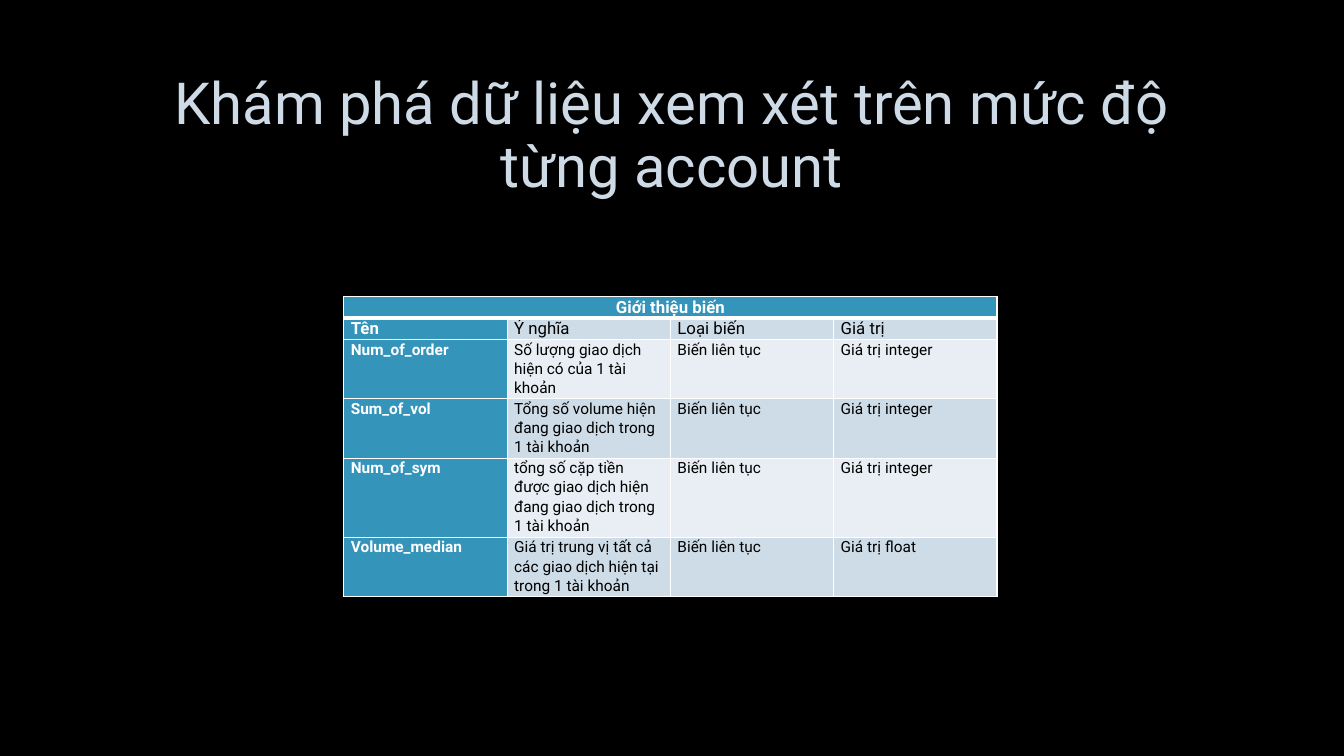
from dataclasses import dataclass

from lxml import etree
from pptx import Presentation
from pptx import util as u
from pptx.dml.color import RGBColor
from pptx.enum import text
from pptx.oxml import parse_xml
from pptx.oxml.ns import nsdecls, qn


@dataclass(frozen=True)
class Theme:
    """Colours, font and type sizes of the slide."""
    font: str = "Roboto"
    background: str = "000000"
    title: str = "CEDBE6"
    outline: str = "404040"
    accent: str = "3494BA"
    bands: tuple[str, str] = ("CEDCE7", "E8EEF3")
    light: str = "FFFFFF"
    dark: str = "000000"
    title_size: float = 41.4
    head_size: float = 12
    body_size: float = 11


@dataclass(frozen=True)
class Variable:
    """One table row and its height in inches."""
    name: str
    meaning: str
    kind: str
    value: str
    height: float
    size: float = Theme.body_size


THEME = Theme()
TITLE = "Khám phá dữ liệu xem xét trên mức độ từng account"
CAPTION = "Giới thiệu biến"
CAPTION_HEIGHT = 0.21
COLUMN_WIDTH = 1.62
KIND = "Biến liên tục"
INTEGER = "Giá trị integer"
ROWS = [
    Variable("Tên", "Ý nghĩa", "Loại biến", "Giá trị", 0.21, THEME.head_size),
    Variable("Num_of_order", "Số lượng giao dịch hiện có của 1 tài khoản", KIND, INTEGER, 0.57),
    Variable("Sum_of_vol", "Tổng số volume hiện đang giao dịch trong 1 tài khoản",
             KIND, INTEGER, 0.57),
    Variable("Num_of_sym", "tổng số cặp tiền được giao dịch hiện đang giao dịch trong 1 tài khoản",
             KIND, INTEGER, 0.76),
    Variable("Volume_median", "Giá trị trung vị tất cả các giao dịch hiện tại trong 1 tài khoản",
             KIND, "Giá trị float", 0.57),
]


def style(paragraph, size: float, color: str, bold: bool, spacing: float, centred: bool) -> None:
    """Set the type and alignment of a paragraph."""
    paragraph.alignment = text.PP_ALIGN.CENTER if centred else text.PP_ALIGN.LEFT
    paragraph.line_spacing = spacing
    font = paragraph.font
    font.name, font.size, font.bold = THEME.font, u.Pt(size), bold
    font.color.rgb = RGBColor.from_string(color)


def add_title(page) -> None:
    """Add the centred title with its faint letter outline."""
    box = page.shapes.add_textbox(u.Inches(1), u.Inches(0.67), u.Inches(11.32), u.Inches(1.38))
    frame = box.text_frame
    frame.word_wrap = True
    frame.vertical_anchor = text.MSO_ANCHOR.MIDDLE
    paragraph = frame.paragraphs[0]
    paragraph.add_run().text = TITLE
    style(paragraph, THEME.title_size, THEME.title, False, 0.9, True)
    outline = parse_xml(
        f'<a:ln {nsdecls("a")} w="{u.Pt(0.75)}"><a:solidFill><a:srgbClr val="{THEME.outline}">'
        '<a:alpha val="10000"/></a:srgbClr></a:solidFill></a:ln>')
    paragraph.font.fill.solid()
    paragraph.font.color.rgb = RGBColor.from_string(THEME.title)
    paragraph._p.find(".//" + qn("a:defRPr")).insert(0, outline)


def add_borders(cell, bottom: float, top: float) -> None:
    """Draw white lines on the four sides of a cell."""
    properties = cell._tc.get_or_add_tcPr()
    for index, (side, width) in enumerate({"lnL": 1, "lnR": 1, "lnT": top, "lnB": bottom}.items()):
        line = etree.Element(qn("a:" + side), w=str(u.Pt(width)))
        fill = etree.SubElement(line, qn("a:solidFill"))
        etree.SubElement(fill, qn("a:srgbClr"), val=THEME.light)
        properties.insert(index, line)


def fill_cell(cell, words: str, size: float, fill: str, strong: bool, centred: bool = False,
              top: float = 1, bottom: float = 1) -> None:
    """Write and format one table cell."""
    cell.margin_left = cell.margin_right = u.Inches(0.07)
    cell.margin_top = cell.margin_bottom = 0
    cell.fill.solid()
    cell.fill.fore_color.rgb = RGBColor.from_string(fill)
    paragraph = cell.text_frame.paragraphs[0]
    if words:
        paragraph.add_run().text = words
    style(paragraph, size, THEME.light if strong else THEME.dark, strong, 1.07, centred)
    add_borders(cell, bottom, top)


def add_variables(page) -> None:
    """Add the table of variables under its merged caption."""
    heights = [CAPTION_HEIGHT, *(row.height for row in ROWS)]
    table = page.shapes.add_table(
        len(heights), 4, u.Inches(3.41), u.Inches(2.94),
        u.Inches(4 * COLUMN_WIDTH), u.Inches(sum(heights))).table
    for column in table.columns:
        column.width = u.Inches(COLUMN_WIDTH)
    for row, height in zip(table.rows, heights):
        row.height = u.Inches(height)
    table.cell(0, 0).merge(table.cell(0, 3))
    for column in range(4):
        fill_cell(table.cell(0, column), "" if column else CAPTION, THEME.head_size,
                  THEME.accent, True, True, bottom=3)
    for index, row in enumerate(ROWS):
        for column, words in enumerate((row.name, row.meaning, row.kind, row.value)):
            fill = THEME.bands[index % 2] if column else THEME.accent
            fill_cell(table.cell(index + 1, column), words, row.size, fill, column == 0,
                      top=1 if index else 3)


def main() -> None:
    """Build and save the slide."""
    deck = Presentation()
    deck.slide_width, deck.slide_height = u.Inches(13.33), u.Inches(7.5)
    page = deck.slides.add_slide(deck.slide_layouts[6])
    page.background.fill.solid()
    page.background.fill.fore_color.rgb = RGBColor.from_string(THEME.background)
    add_title(page)
    add_variables(page)
    deck.save("out.pptx")


if __name__ == "__main__":
    main()
